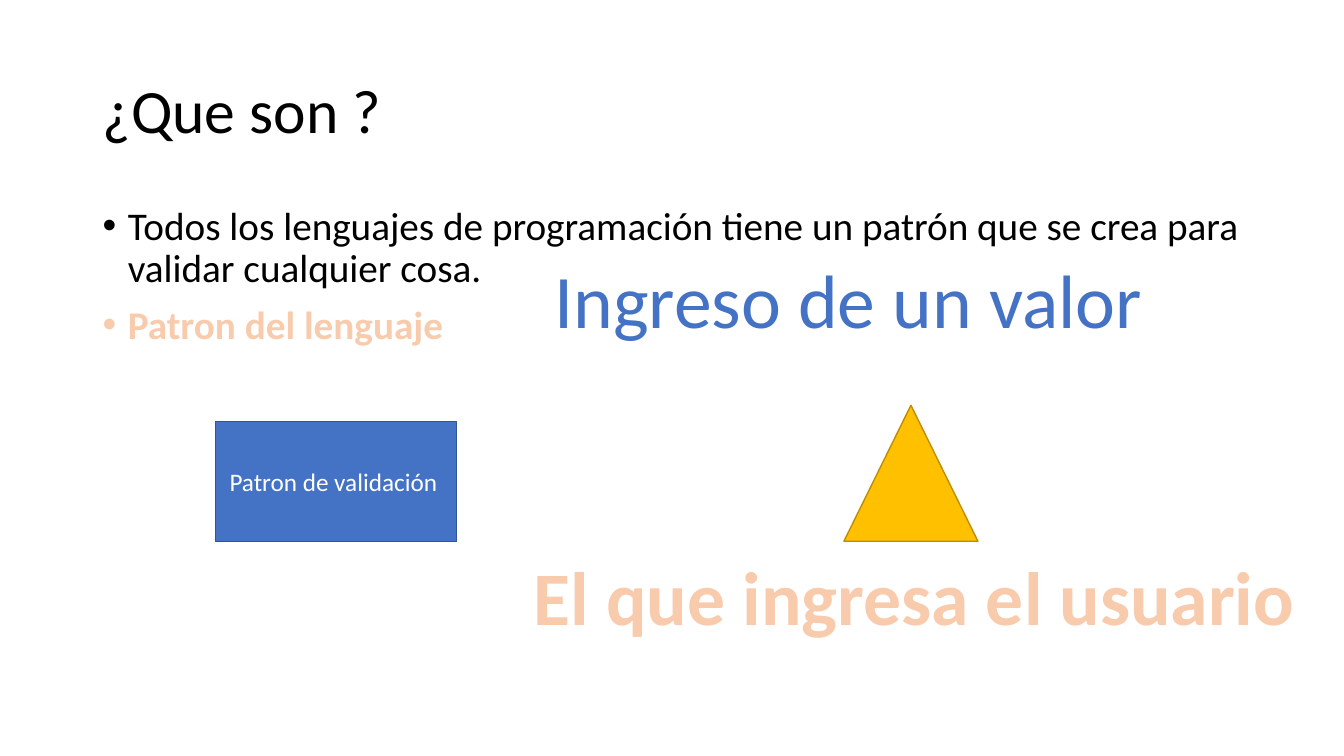
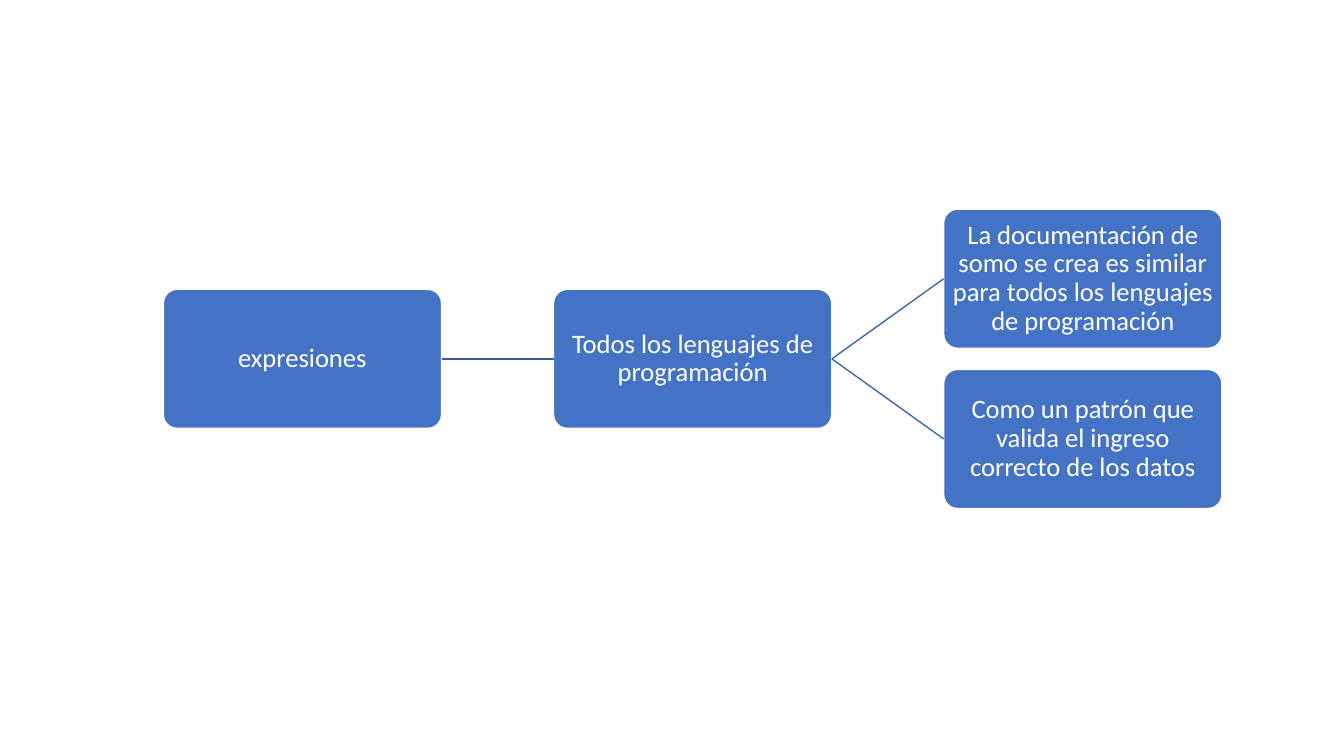
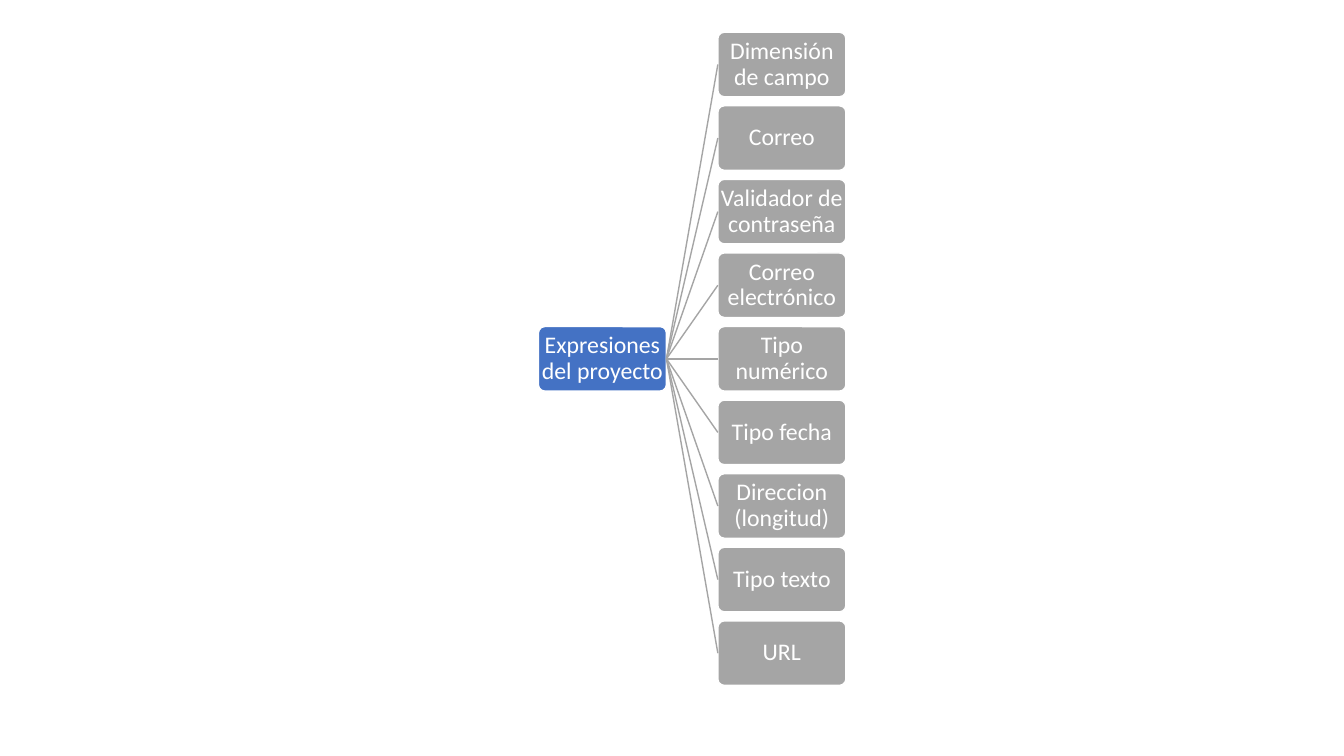
from lxml import etree
from pptx import Presentation
from pptx.dml.color import RGBColor
from pptx.enum.shapes import MSO_CONNECTOR, MSO_SHAPE
from pptx.enum.text import MSO_ANCHOR, MSO_AUTO_SIZE, PP_ALIGN
from pptx.oxml.ns import qn
from pptx.util import Inches, Pt

RECTANGLE = MSO_SHAPE.RECTANGLE
ROUNDED = MSO_SHAPE.ROUNDED_RECTANGLE
TRIANGLE = MSO_SHAPE.ISOSCELES_TRIANGLE
STRAIGHT = MSO_CONNECTOR.STRAIGHT
TOP = MSO_ANCHOR.TOP
MIDDLE = MSO_ANCHOR.MIDDLE
LEFT = PP_ALIGN.LEFT
CENTER = PP_ALIGN.CENTER
GROW = MSO_AUTO_SIZE.SHAPE_TO_FIT_TEXT

BLACK = RGBColor(0x00, 0x00, 0x00)
WHITE = RGBColor(0xFF, 0xFF, 0xFF)
BLUE = RGBColor(0x44, 0x72, 0xC4)
DARK_BLUE = RGBColor(0x32, 0x54, 0x91)
FIRST_LINK = RGBColor(0x36, 0x5B, 0x9D)
SECOND_LINK = RGBColor(0x3E, 0x67, 0xB2)
GRAY = RGBColor(0xA5, 0xA5, 0xA5)
GOLD = RGBColor(0xFF, 0xC0, 0x00)
DARK_GOLD = RGBColor(0xBD, 0x8E, 0x00)
PEACH = RGBColor(0xF8, 0xCB, 0xAD)
ORANGE = RGBColor(0xED, 0x7D, 0x31)

FONT = "Calibri"
LEFT_SIDE, RIGHT_SIDE = 1, 3
TREE_MIDDLE = 3.56


def outline_run(run, color, width):
    properties = run._r.get_or_add_rPr()
    line = etree.Element(qn("a:ln"), w=str(Pt(width)))
    fill = etree.SubElement(line, qn("a:solidFill"))
    etree.SubElement(fill, qn("a:srgbClr"), val=str(color))
    properties.insert(0, line)


def add_bullet(paragraph):
    properties = paragraph._p.get_or_add_pPr()
    properties.set("marL", str(Inches(0.25)))
    properties.set("indent", str(Inches(-0.25)))
    etree.SubElement(properties, qn("a:buFont"), typeface="Arial")
    etree.SubElement(properties, qn("a:buChar"), char="•")


def write_text(frame, text, size=18, color=BLACK, bold=False, align=LEFT,
               spacing=1.0, before=0, bullet=False, outline=None):
    paragraph = frame.paragraphs[0]
    if paragraph.runs:
        paragraph = frame.add_paragraph()
    paragraph.alignment = align
    paragraph.line_spacing = spacing
    paragraph.space_before = Pt(before)
    if bullet:
        add_bullet(paragraph)
    run = paragraph.add_run()
    run.text = text
    run.font.name = FONT
    run.font.size = Pt(size)
    run.font.bold = bold
    run.font.color.rgb = color
    if outline is not None:
        outline_run(run, outline, 1.75)


def add_text_box(slide, left, top, width, height, anchor=TOP, wrap=True):
    box = slide.shapes.add_textbox(
        Inches(left), Inches(top), Inches(width), Inches(height))
    frame = box.text_frame
    frame.word_wrap = wrap
    frame.vertical_anchor = anchor
    return frame


def add_title(slide, text):
    frame = add_text_box(slide, 0.92, 0.4, 11.5, 1.45, anchor=MIDDLE)
    write_text(frame, text, size=44, spacing=0.9)


def add_headline(slide, text, left, top, width, **text_format):
    frame = add_text_box(slide, left, top, width, 1.01, wrap=False)
    frame.auto_size = GROW
    write_text(frame, text, size=54, align=CENTER, **text_format)


def add_figure(slide, kind, left, top, width, height, fill, line):
    shape = slide.shapes.add_shape(
        kind, Inches(left), Inches(top), Inches(width), Inches(height))
    shape.shadow.inherit = False
    shape.fill.solid()
    shape.fill.fore_color.rgb = fill
    shape.line.color.rgb = line
    shape.line.width = Pt(1)
    shape.text_frame.word_wrap = True
    shape.text_frame.vertical_anchor = MIDDLE
    return shape


def add_node(slide, text, left, middle, width, height, fill, size):
    node = add_figure(slide, ROUNDED, left, middle - height / 2,
                      width, height, fill, WHITE)
    node.adjustments[0] = 0.1
    frame = node.text_frame
    frame.margin_left = frame.margin_right = Inches(0.01)
    frame.margin_top = frame.margin_bottom = Inches(0.01)
    write_text(frame, text, size=size, color=WHITE, align=CENTER, spacing=0.9)
    return node


def add_link(slide, parent, child, color):
    link = slide.shapes.add_connector(STRAIGHT, 0, 0, 0, 0)
    link.begin_connect(parent, RIGHT_SIDE)
    link.end_connect(child, LEFT_SIDE)
    link.line.color.rgb = color
    link.line.width = Pt(1)
    etree.SubElement(link._element.spPr, qn("a:effectLst"))


def add_children(slide, parent, texts, left, pitch, link_color, **node_format):
    nodes = []
    for index, text in enumerate(texts):
        middle = TREE_MIDDLE + (index - (len(texts) - 1) / 2) * pitch
        node = add_node(slide, text, left, middle, **node_format)
        add_link(slide, parent, node, link_color)
        nodes.append(node)
    return nodes


def build_definition(slide):
    add_title(slide, "¿Que son ?")
    body = add_text_box(slide, 0.92, 2, 11.5, 4.76)
    item = {"size": 28, "spacing": 0.9, "before": 10, "bullet": True}
    accent = {"color": PEACH, "bold": True, "outline": ORANGE}
    write_text(body, "Todos los lenguajes de programación tiene un patrón "
               "que se crea para validar cualquier cosa.", **item)
    write_text(body, "Patron del lenguaje", **item, **accent)

    pattern = add_figure(slide, RECTANGLE, 2.14, 4.18, 2.39, 1.19,
                         BLUE, DARK_BLUE)
    write_text(pattern.text_frame, "Patron de validación ",
               color=WHITE, align=CENTER)
    add_headline(slide, "Ingreso de un valor", 5.37, 2.46, 6.09, color=BLUE)
    add_figure(slide, TRIANGLE, 8.37, 4.02, 1.33, 1.35, GOLD, DARK_GOLD)
    add_headline(slide, "El que ingresa el usuario", 5.16, 5.41, 7.82,
                 **accent)


def build_expressions(slide):
    left, column_pitch, row_pitch = 1.62, 3.87, 1.59
    node_format = {"width": 2.76, "height": 1.38, "fill": BLUE, "size": 19}
    root = add_node(slide, "expresiones", left, TREE_MIDDLE, **node_format)
    languages = add_children(
        slide, root, ["Todos los lenguajes de programación"],
        left + column_pitch, row_pitch, FIRST_LINK, **node_format)
    reasons = [
        "La documentación de somo se crea es similar para todos los "
        "lenguajes de programación",
        "Como un patrón que valida el ingreso correcto de los datos",
    ]
    add_children(slide, languages[0], reasons, left + 2 * column_pitch,
                 row_pitch, SECOND_LINK, **node_format)


def build_project(slide):
    node_format = {"width": 1.27, "height": 0.64, "size": 17}
    root = add_node(slide, "Expresiones del proyecto", 5.34, TREE_MIDDLE,
                    fill=BLUE, **node_format)
    validations = [
        "Dimensión de campo", "Correo", "Validador de contraseña",
        "Correo electrónico", "Tipo numérico", "Tipo fecha",
        "Direccion (longitud)", "Tipo texto", "URL",
    ]
    add_children(slide, root, validations, 7.12, 0.73, GRAY,
                 fill=GRAY, **node_format)


def main():
    presentation = Presentation()
    presentation.slide_width = Inches(13.33)
    presentation.slide_height = Inches(7.5)
    blank = presentation.slide_layouts[6]
    for build in (build_definition, build_expressions, build_project):
        build(presentation.slides.add_slide(blank))
    presentation.save("out.pptx")


if __name__ == "__main__":
    main()
